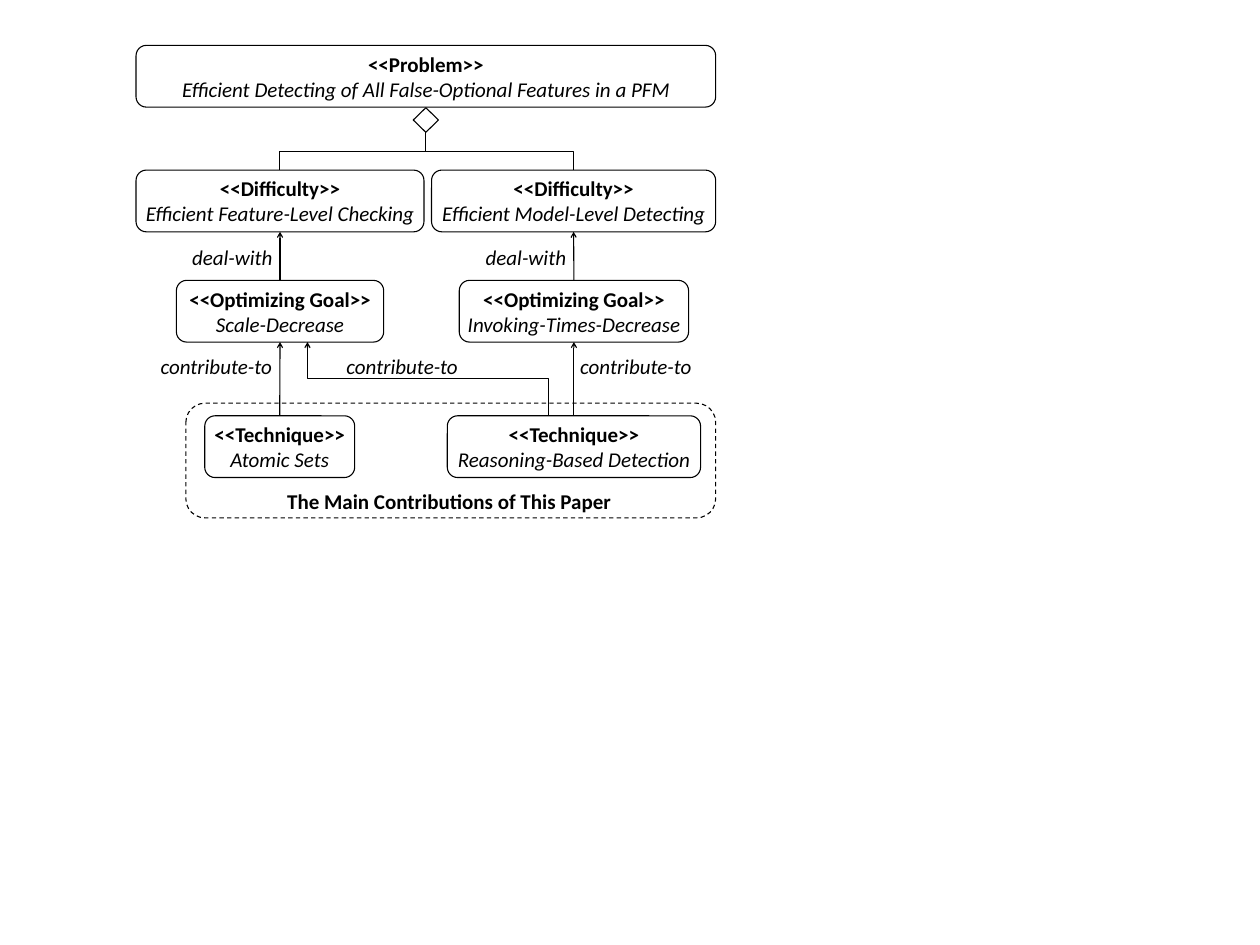
from pptx import Presentation
from pptx.dml.color import RGBColor
from pptx.enum.dml import MSO_LINE
from pptx.enum.shapes import MSO_CONNECTOR, MSO_SHAPE
from pptx.enum.text import MSO_ANCHOR, PP_ALIGN
from pptx.oxml.ns import qn
from pptx.util import Inches, Pt
from lxml import etree

ROUNDED, DIAMOND = MSO_SHAPE.ROUNDED_RECTANGLE, MSO_SHAPE.DIAMOND
STRAIGHT, ELBOW = MSO_CONNECTOR.STRAIGHT, MSO_CONNECTOR.ELBOW
DASH, MIDDLE, CENTER = MSO_LINE.DASH, MSO_ANCHOR.MIDDLE, PP_ALIGN.CENTER
TOP, BOTTOM = 0, 2
COLORS = {"ink": "000000", "paper": "FFFFFF"}
INK = RGBColor.from_string(COLORS["ink"])
PAPER = RGBColor.from_string(COLORS["paper"])
BOX_HEIGHT = 0.98

deck = Presentation()
deck.slide_width, deck.slide_height = Inches(20), Inches(15)
page = deck.slides.add_slide(deck.slide_layouts[6])


def style_text(para, bold, italic):
    for span in para.runs:
        span.font.name, span.font.size = "Calibri", Pt(24)
        span.font.bold, span.font.italic = bold, italic
        span.font.color.rgb = INK


def style_connector(connector, arrow=None):
    connector.line.color.rgb = INK
    connector.line.width = Pt(1.25)
    if arrow:
        outline = connector.line._get_or_add_ln()
        etree.SubElement(outline, qn(f"a:{arrow}"), type="arrow")
    etree.SubElement(connector._element.spPr, qn("a:effectLst"))


box_specs = [
    ("problem", 2.16, 0.72, 9.2, "Problem", "Efficient Detecting of All False-Optional Features in a PFM"),
    ("feature difficulty", 2.16, 2.7, 4.57, "Difficulty", "Efficient Feature-Level Checking"),
    ("model difficulty", 6.85, 2.7, 4.51, "Difficulty", "Efficient Model-Level Detecting"),
    ("scale goal", 2.8, 4.45, 3.29, "Optimizing Goal", "Scale-Decrease"),
    ("times goal", 7.29, 4.45, 3.64, "Optimizing Goal", "Invoking-Times-Decrease"),
    ("atomic sets", 3.25, 6.6, 2.38, "Technique", "Atomic Sets"),
    ("reasoning", 7.1, 6.6, 4.02, "Technique", "Reasoning-Based Detection"),
]
boxes = {}
for name, left, top, width, kind, title in box_specs:
    box = page.shapes.add_shape(ROUNDED, Inches(left), Inches(top), Inches(width), Inches(BOX_HEIGHT))
    box.fill.solid()
    box.fill.fore_color.rgb = PAPER
    frame = box.text_frame
    frame.word_wrap = False
    frame.vertical_anchor = MIDDLE
    frame.margin_left = frame.margin_right = Inches(0.08)
    frame.margin_top = frame.margin_bottom = Inches(0.04)
    frame.text = f"<<{kind}>>\n{title}"
    for para, bold in zip(frame.paragraphs, (True, False)):
        para.alignment = CENTER
        style_text(para, bold, not bold)
    boxes[name] = box

diamond = page.shapes.add_shape(DIAMOND, Inches(6.56), Inches(1.71), Inches(0.4), Inches(0.39))
contributions = page.shapes.add_shape(ROUNDED, Inches(2.95), Inches(6.4), Inches(8.41), Inches(1.82))
contributions.line.dash_style = DASH
for shape in (diamond, contributions):
    shape.fill.background()
for shape in (*boxes.values(), diamond, contributions):
    shape.shadow.inherit = False
    shape.adjustments
    shape.line.color.rgb = INK
    shape.line.width = Pt(1.25)

for lower, upper in [
    ("scale goal", "feature difficulty"),
    ("times goal", "model difficulty"),
    ("atomic sets", "scale goal"),
    ("reasoning", "times goal"),
]:
    arrow = page.shapes.add_connector(STRAIGHT, 0, 0, 0, 0)
    arrow.begin_connect(boxes[lower], TOP)
    arrow.end_connect(boxes[upper], BOTTOM)
    style_connector(arrow, "tailEnd")

for start_x, start_y, end_x, end_y, arrow in [
    (6.76, 2.1, 4.44, 2.7, None),
    (6.76, 2.1, 9.11, 2.7, None),
    (4.88, 5.43, 8.7, 6.6, "headEnd"),
]:
    middle_x, middle_y = (start_x + end_x) / 2, (start_y + end_y) / 2
    half_drop, half_run = (end_y - start_y) / 2, abs(end_x - start_x) / 2
    goes_right = end_x > start_x
    side = half_drop if goes_right else -half_drop
    elbow = page.shapes.add_connector(
        ELBOW,
        Inches(middle_x + side), Inches(middle_y - half_run),
        Inches(middle_x - side), Inches(middle_y + half_run),
    )
    quarter_turns = 3 if goes_right else 1
    elbow._element.spPr.find(qn("a:xfrm")).set("rot", str(quarter_turns * 90 * 60000))
    style_connector(elbow, arrow)

for text, left, top, width, bold in [
    ("deal-with", 2.95, 3.83, 1.5, False),
    ("deal-with", 7.61, 3.83, 1.5, False),
    ("contribute-to", 2.45, 5.56, 1.99, False),
    ("contribute-to", 5.4, 5.56, 1.99, False),
    ("contribute-to", 9.11, 5.56, 1.99, False),
    ("The Main Contributions of This Paper", 4.46, 7.7, 5.4, True),
]:
    label = page.shapes.add_textbox(Inches(left), Inches(top), Inches(width), Inches(0.51))
    label.text_frame.word_wrap = False
    label.text_frame.text = text
    style_text(label.text_frame.paragraphs[0], bold, not bold)

deck.save("out.pptx")
